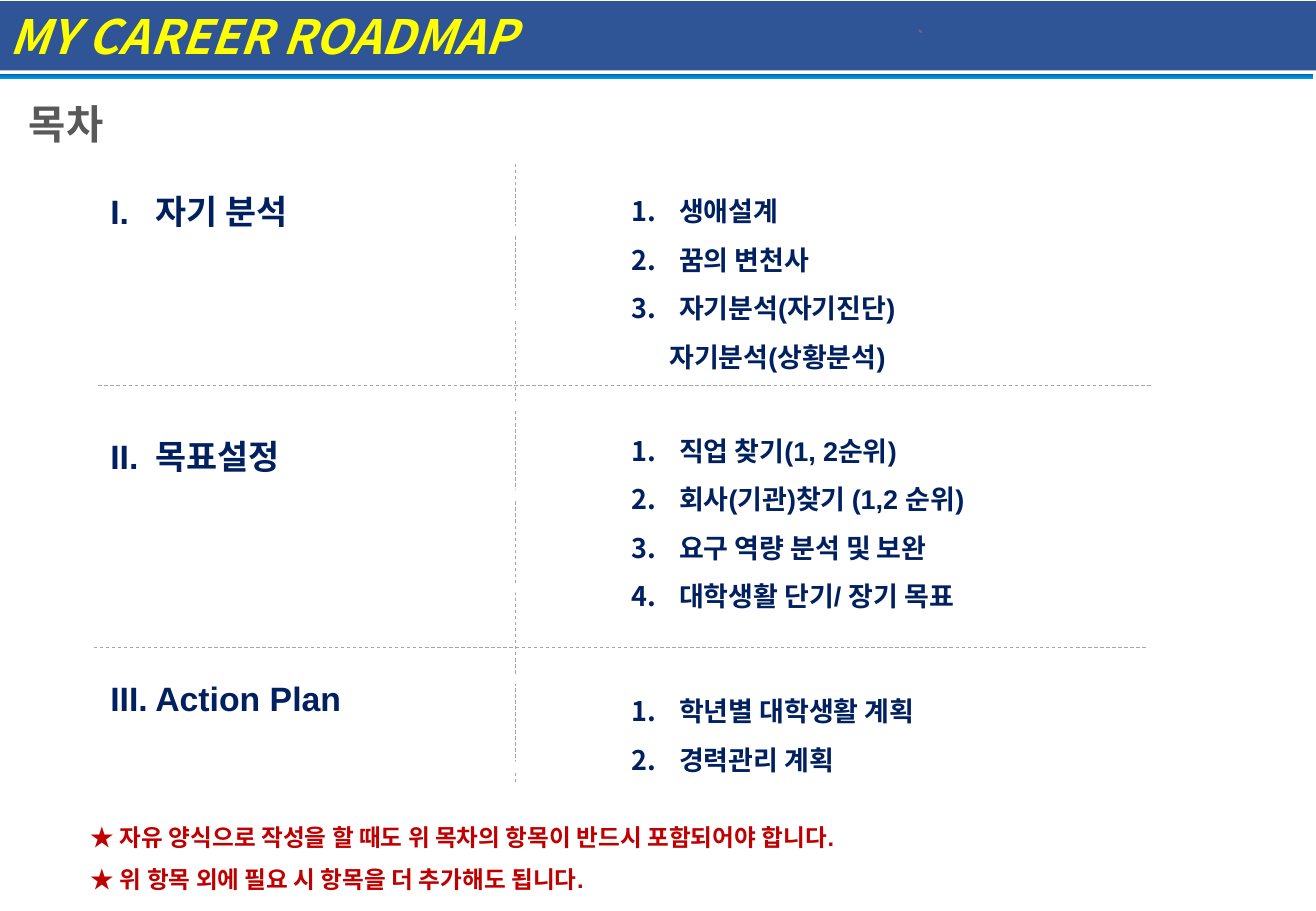
import pptx
import pptx.util
import pptx.dml.color
import pptx.enum.dml
import pptx.enum.shapes
import pptx.enum.text
import lxml.etree

Inches = pptx.util.Inches
Pt = pptx.util.Pt
RGBColor = pptx.dml.color.RGBColor
MSO_SHAPE = pptx.enum.shapes.MSO_SHAPE
ANCHOR = pptx.enum.text.MSO_ANCHOR

BLUE = RGBColor(0x2F, 0x55, 0x97)
SKY = RGBColor(0x00, 0x9F, 0xE1)
DEEP = RGBColor(0x01, 0x63, 0xC5)
YELLOW = RGBColor(0xFF, 0xFF, 0x00)
PURPLE = RGBColor(0x7D, 0x58, 0x89)
GRAY = RGBColor(0x59, 0x59, 0x59)
SILVER = RGBColor(0xA6, 0xA6, 0xA6)
NAVY = RGBColor(0x00, 0x20, 0x60)
RED = RGBColor(0xC0, 0x00, 0x00)
WHITE = RGBColor(0xFF, 0xFF, 0xFF)
SANS = "Noto Sans CJK KR"
ARIAL = "Arial"

deck = pptx.Presentation()
deck.slide_width = Inches(10.83)
deck.slide_height = Inches(7.5)
slide = deck.slides.add_slide(deck.slide_layouts[6])
shapes = slide.shapes


def add_shape(kind, left, top, width, height, color):
    shape = shapes.add_shape(kind, Inches(left), Inches(top), Inches(width), Inches(height))
    shape.shadow.inherit = False
    shape.line.fill.background()
    shape.fill.solid()
    shape.fill.fore_color.rgb = color
    return shape


def add_text(box, lines, size, color, font=ARIAL, anchor=ANCHOR.TOP, spacing=1.0):
    frame = box.text_frame
    frame.word_wrap = True
    frame.vertical_anchor = anchor
    frame.text = "\n".join(lines)
    for para in frame.paragraphs:
        para.alignment = pptx.enum.text.PP_ALIGN.LEFT
        para.line_spacing = spacing
        para.font.name = font
        para.font.size = Pt(size)
        para.font.bold = True
        para.font.color.rgb = color
    return frame.paragraphs


banner = add_shape(MSO_SHAPE.RECTANGLE, -0.02, 0.01, 10.86, 0.57, BLUE)
title = add_text(banner, ["MY CAREER ROADMAP"], 28, YELLOW, SANS, ANCHOR.MIDDLE)
title[0].font.italic = True

stripe = add_shape(MSO_SHAPE.RECTANGLE, -0.02, 0.61, 10.83, 0.04, SKY)
stripe.fill.gradient()
stripe.fill.gradient_angle = 90
for stop, color in zip(stripe.fill.gradient_stops, (SKY, DEEP)):
    stop.color.rgb = color

edge = [(7.56, 0.24), (7.58, 0.25), (7.59, 0.26), (7.59, 0.27), (7.58, 0.27), (7.56, 0.26)]
points = [(Inches(x), Inches(y)) for x, y in edge]
pen = shapes.build_freeform(*points[0])
pen.add_line_segments(points[1:], close=True)
speck = pen.convert_to_shape()
speck.shadow.inherit = False
speck.line.fill.background()
speck.fill.solid()
speck.fill.fore_color.rgb = PURPLE

head = shapes.add_textbox(Inches(0.14), Inches(0.77), Inches(5.74), Inches(0.5))
add_text(head, ["목차"], 24, GRAY, SANS)

rules = [
    (4.24, 1.35, 4.24, 6.44),
    (0.81, 3.17, 9.47, 3.17),
    (0.77, 5.33, 9.43, 5.33),
]
for ends in rules:
    rule = shapes.add_connector(
        pptx.enum.shapes.MSO_CONNECTOR.STRAIGHT, *[Inches(end) for end in ends])
    rule.line.color.rgb = SILVER
    rule.line.width = Pt(0.5)
    rule.line.dash_style = pptx.enum.dml.MSO_LINE.DASH
    lxml.etree.SubElement(rule.element.spPr, pptx.oxml.ns.qn("a:effectLst"))

for top in (1.86, 2.55, 3.3, 4.03, 4.8, 5.55, 6.27):
    add_shape(MSO_SHAPE.OVAL, 4.2, top, 0.08, 0.08, WHITE)

parts = [
    ("I.\t자기 분석", 1.52, 1.41, 1.72,
     ["생애설계", "꿈의 변천사", "자기분석(자기진단)", "자기분석(상황분석)"], 3),
    ("II.\t목표설정", 3.54, 3.38, 1.72,
     ["직업 찾기(1, 2순위)", "회사(기관)찾기 (1,2 순위)",
      "요구 역량 분석 및 보완", "대학생활 단기/ 장기 목표"], 4),
    ("III.\tAction Plan", 5.53, 5.53, 0.91,
     ["학년별 대학생활 계획", "경력관리 계획"], 2),
]
for name, y, top, height, items, count in parts:
    label = shapes.add_textbox(Inches(0.81), Inches(y), Inches(3.7), Inches(0.44))
    for para in add_text(label, [name], 20, NAVY):
        props = para._p.get_or_add_pPr()
        props.set("marL", str(Inches(0.37)))
        props.set("indent", str(Inches(-0.37)))
    box = shapes.add_textbox(Inches(5.1), Inches(top), Inches(4.49), Inches(height))
    paras = add_text(box, items, 16, NAVY, anchor=ANCHOR.MIDDLE, spacing=1.5)
    for index, para in enumerate(paras):
        props = para._p.get_or_add_pPr()
        if index < count:
            props.set("marL", str(Inches(0.39)))
            props.set("indent", str(Inches(-0.39)))
            number = lxml.etree.Element(pptx.oxml.ns.qn("a:buAutoNum"), type="arabicPeriod")
            props.find(pptx.oxml.ns.qn("a:defRPr")).addprevious(number)
        else:
            props.set("marL", str(Inches(0.31)))

note = shapes.add_textbox(Inches(0.65), Inches(6.6), Inches(9.46), Inches(0.81))
add_text(note, [
    "★ 자유 양식으로 작성을 할 때도 위 목차의 항목이 반드시 포함되어야 합니다.",
    "★ 위 항목 외에 필요 시 항목을 더 추가해도 됩니다.",
], 14, RED, anchor=ANCHOR.MIDDLE, spacing=1.5)

deck.save("out.pptx")
